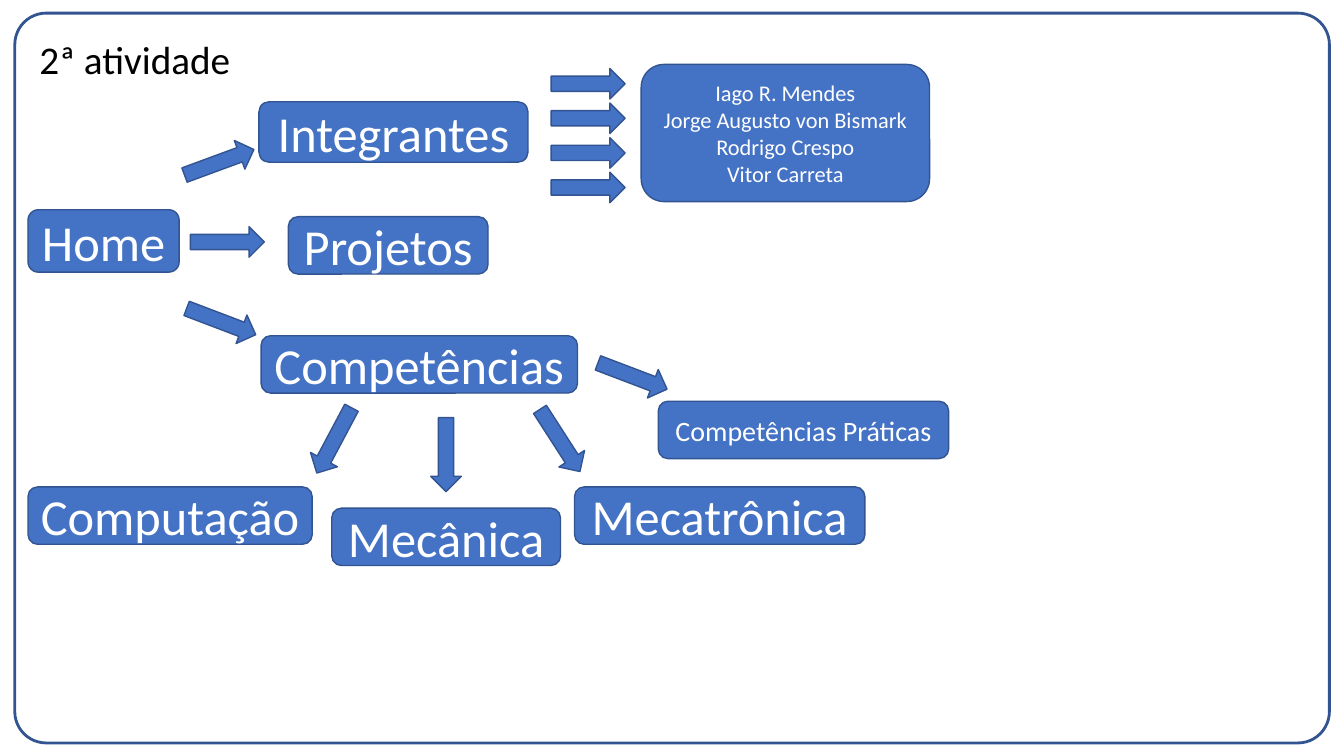
"""Build a site map slide with labelled boxes joined by block arrows."""
from pptx import Presentation
from pptx.dml.color import RGBColor
from pptx.enum.shapes import MSO_SHAPE
from pptx.enum.text import MSO_ANCHOR, PP_ALIGN
from pptx.util import Pt

TITLE = "2ª atividade"
MEMBERS = [
    "Iago R. Mendes",
    "Jorge Augusto von Bismark",
    "Rodrigo Crespo",
    "Vitor Carreta",
]
BOXES = [
    (["Home"], 36, (20, 149.8, 108, 44.6)),
    (["Integrantes"], 36, (185, 72.7, 192.2, 43.2)),
    (["Projetos"], 36, (206, 154.8, 142.6, 41)),
    (["Competências"], 36, (186.5, 239.8, 226, 41)),
    (["Computação"], 36, (20, 347.8, 203, 41)),
    (["Mecânica"], 36, (237, 363, 163.4, 41)),
    (["Mecatrônica"], 36, (410.4, 347.8, 207.4, 41)),
    (["Competências Práticas"], 20, (470.2, 286.6, 207.4, 41)),
    (MEMBERS, 16, (458, 46, 206, 98)),
]
BRANCH_ARROWS = [
    (156.6, 115.9, 159.8),
    (162.4, 172.8, 180),
    (158, 229.7, 200.8),
    (238.7, 314.6, 298),
    (318.6, 324.7, 270),
    (400, 314.6, 237.2),
    (451.8, 268.6, 200.8),
]
MEMBER_ARROW_X, MEMBER_ARROW_Y, MEMBER_ARROW_STEP = 420.1, 59.8, 24.7
ARROW_WIDTH, ARROW_HEIGHT = 52.8, 21.8

FONT = "Calibri"
BLUE = RGBColor(0x44, 0x72, 0xC4)
DARK_BLUE = RGBColor(0x32, 0x54, 0x91)
WHITE = RGBColor(0xFF, 0xFF, 0xFF)
BLACK = RGBColor(0x00, 0x00, 0x00)


def add_block(slide, kind, bounds, line_width=1, filled=True):
    shape = slide.shapes.add_shape(kind, *(Pt(length) for length in bounds))
    shape.shadow.inherit = False
    if filled:
        shape.fill.solid()
        shape.fill.fore_color.rgb = BLUE
    else:
        shape.fill.background()
    shape.line.color.rgb = DARK_BLUE
    shape.line.width = Pt(line_width)
    return shape


def write_text(text_frame, lines, size, color, alignment):
    text_frame.text = "\n".join(lines)
    text_frame.word_wrap = False
    text_frame.vertical_anchor = MSO_ANCHOR.MIDDLE
    for paragraph in text_frame.paragraphs:
        paragraph.alignment = alignment
        for run in paragraph.runs:
            run.font.name = FONT
            run.font.size = Pt(size)
            run.font.color.rgb = color


def add_title(slide):
    title = slide.shapes.title
    title.left, title.top, title.width, title.height = Pt(21), Pt(-8), Pt(828), Pt(104.4)
    write_text(title.text_frame, [TITLE], 28, BLACK, PP_ALIGN.LEFT)
    title.text_frame.word_wrap = True
    title.text_frame.paragraphs[0].line_spacing = 0.9


def add_arrow(slide, center_x, center_y, rotation):
    bounds = (center_x - ARROW_WIDTH / 2, center_y - ARROW_HEIGHT / 2, ARROW_WIDTH, ARROW_HEIGHT)
    arrow = add_block(slide, MSO_SHAPE.LEFT_ARROW, bounds)
    arrow.rotation = rotation


def main():
    presentation = Presentation()
    presentation.slide_width, presentation.slide_height = Pt(960), Pt(540)
    slide = presentation.slides.add_slide(presentation.slide_layouts[5])

    frame = add_block(slide, MSO_SHAPE.ROUNDED_RECTANGLE, (10.6, 9.4, 939, 521.3), 2, False)
    frame.adjustments[0] = 0.043
    add_title(slide)

    for lines, size, bounds in BOXES:
        box = add_block(slide, MSO_SHAPE.ROUNDED_RECTANGLE, bounds)
        write_text(box.text_frame, lines, size, WHITE, PP_ALIGN.CENTER)

    member_arrows = [
        (MEMBER_ARROW_X, MEMBER_ARROW_Y + index * MEMBER_ARROW_STEP, 180)
        for index in range(len(MEMBERS))
    ]
    for center_x, center_y, rotation in BRANCH_ARROWS + member_arrows:
        add_arrow(slide, center_x, center_y, rotation)

    presentation.save("out.pptx")


if __name__ == "__main__":
    main()
